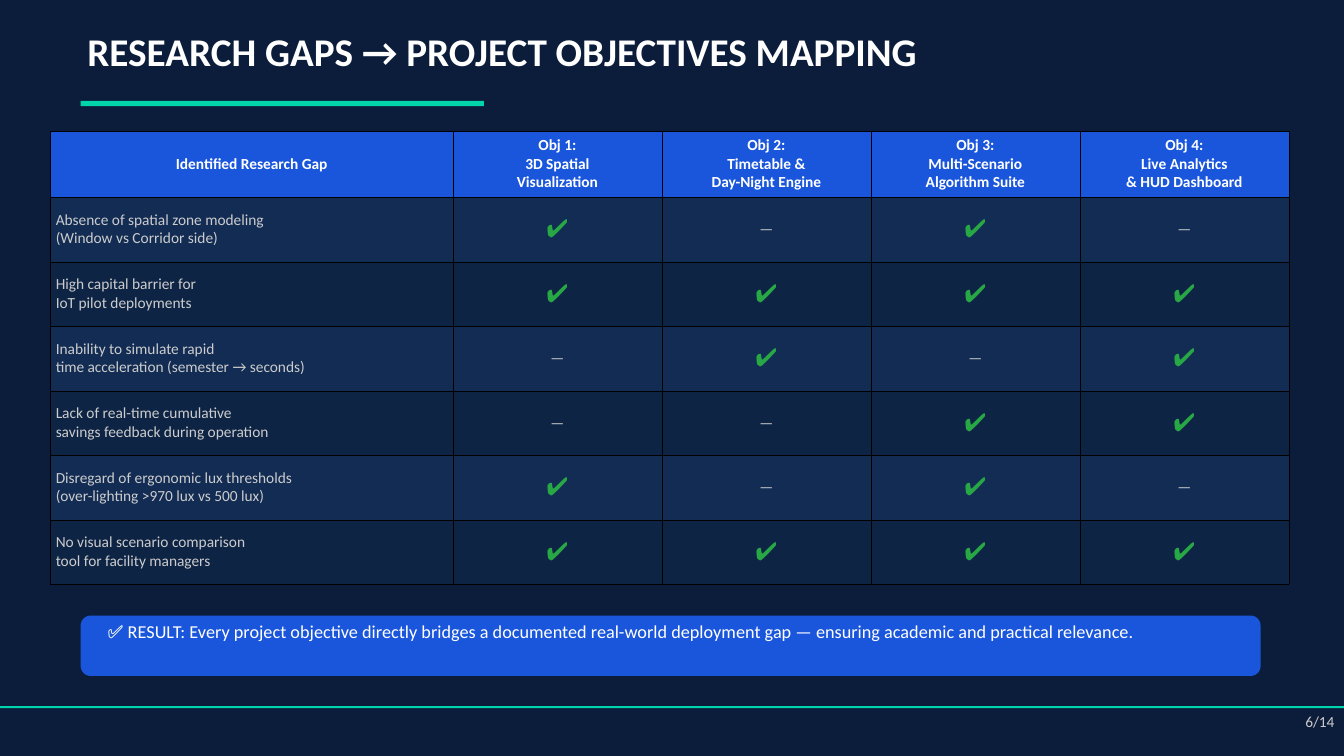
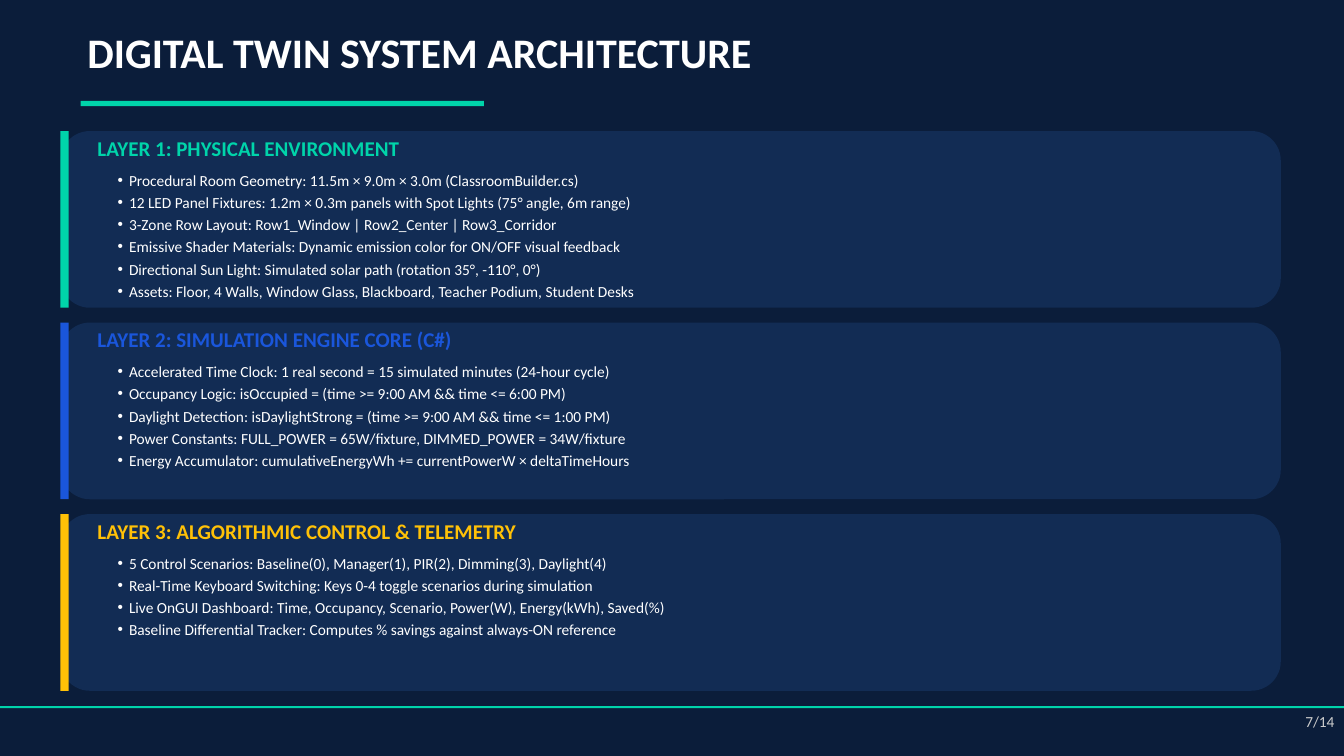
from lxml.etree import SubElement
from pptx import Presentation
from pptx.dml.color import RGBColor
from pptx.enum.shapes import MSO_SHAPE
from pptx.enum.text import MSO_ANCHOR, MSO_AUTO_SIZE, PP_ALIGN
from pptx.oxml.ns import qn
from pptx.util import Inches, Pt

NAVY = RGBColor(0x0B, 0x1D, 0x3A)
CARD_NAVY = RGBColor(0x12, 0x2C, 0x54)
DEEP_NAVY = RGBColor(0x0E, 0x24, 0x45)
BLUE = RGBColor(0x1A, 0x56, 0xDB)
TEAL = RGBColor(0x00, 0xD4, 0xAA)
AMBER = RGBColor(0xFF, 0xC1, 0x07)
GREEN = RGBColor(0x28, 0xA7, 0x45)
GREY = RGBColor(0xCC, 0xCC, 0xCC)
WHITE = RGBColor(0xFF, 0xFF, 0xFF)
BLACK = RGBColor(0, 0, 0)

FONT = "Calibri"
TEXT_SIZE = 16.5
TITLE_ONLY, COMPARISON = 5, 4

MAPPING_TITLE = "RESEARCH GAPS → PROJECT OBJECTIVES MAPPING"
HEADERS = [
    "Identified Research Gap",
    "Obj 1:\n3D Spatial\nVisualization",
    "Obj 2:\nTimetable &\nDay-Night Engine",
    "Obj 3:\nMulti-Scenario\nAlgorithm Suite",
    "Obj 4:\nLive Analytics\n& HUD Dashboard",
]
GAPS = [
    ("Absence of spatial zone modeling\n(Window vs Corridor side)", "✔—✔—"),
    ("High capital barrier for\nIoT pilot deployments", "✔✔✔✔"),
    ("Inability to simulate rapid\ntime acceleration (semester → seconds)", "—✔—✔"),
    ("Lack of real-time cumulative\nsavings feedback during operation", "——✔✔"),
    ("Disregard of ergonomic lux thresholds\n(over-lighting >970 lux vs 500 lux)", "✔—✔—"),
    ("No visual scenario comparison\ntool for facility managers", "✔✔✔✔"),
]
RESULT = ("✅ RESULT: Every project objective directly bridges a documented real-world "
          "deployment gap — ensuring academic and practical relevance.")

ARCHITECTURE_TITLE = "DIGITAL TWIN SYSTEM ARCHITECTURE"
LAYERS = [
    ("LAYER 1: PHYSICAL ENVIRONMENT", TEAL, [
        "Procedural Room Geometry: 11.5m × 9.0m × 3.0m (ClassroomBuilder.cs)",
        "12 LED Panel Fixtures: 1.2m × 0.3m panels with Spot Lights (75° angle, 6m range)",
        "3-Zone Row Layout: Row1_Window | Row2_Center | Row3_Corridor",
        "Emissive Shader Materials: Dynamic emission color for ON/OFF visual feedback",
        "Directional Sun Light: Simulated solar path (rotation 35°, -110°, 0°)",
        "Assets: Floor, 4 Walls, Window Glass, Blackboard, Teacher Podium, Student Desks",
    ]),
    ("LAYER 2: SIMULATION ENGINE CORE (C#)", BLUE, [
        "Accelerated Time Clock: 1 real second = 15 simulated minutes (24-hour cycle)",
        "Occupancy Logic: isOccupied = (time >= 9:00 AM && time <= 6:00 PM)",
        "Daylight Detection: isDaylightStrong = (time >= 9:00 AM && time <= 1:00 PM)",
        "Power Constants: FULL_POWER = 65W/fixture, DIMMED_POWER = 34W/fixture",
        "Energy Accumulator: cumulativeEnergyWh += currentPowerW × deltaTimeHours",
    ]),
    ("LAYER 3: ALGORITHMIC CONTROL & TELEMETRY", AMBER, [
        "5 Control Scenarios: Baseline(0), Manager(1), PIR(2), Dimming(3), Daylight(4)",
        "Real-Time Keyboard Switching: Keys 0-4 toggle scenarios during simulation",
        "Live OnGUI Dashboard: Time, Occupancy, Scenario, Power(W), Energy(kWh), Saved(%)",
        "Baseline Differential Tracker: Computes % savings against always-ON reference",
    ]),
]


def place(shape, left, top, width, height):
    shape.left, shape.top = Inches(left), Inches(top)
    shape.width, shape.height = Inches(width), Inches(height)


def format_text(frame, size, color, bold=False, align=PP_ALIGN.LEFT, gap=0):
    for index, paragraph in enumerate(frame.paragraphs):
        paragraph.alignment = align
        paragraph.line_spacing = Pt(round(size * 1.2, 1))
        paragraph.space_before = Pt(gap if index else 0)
        paragraph.space_after = Pt(0)
        for run in paragraph.runs:
            run.font.name = FONT
            run.font.size = Pt(size)
            run.font.bold = bold
            run.font.color.rgb = color


def set_frame(frame, left=0, top=0):
    frame.word_wrap = True
    frame.auto_size = MSO_AUTO_SIZE.NONE
    frame.vertical_anchor = MSO_ANCHOR.TOP
    frame.margin_left, frame.margin_top = Inches(left), Inches(top)
    frame.margin_right = frame.margin_bottom = 0


def add_block(slide, box, color, kind=MSO_SHAPE.RECTANGLE):
    shape = slide.shapes.add_shape(kind, *map(Inches, box))
    shape.shadow.inherit = False
    shape.fill.solid()
    shape.fill.fore_color.rgb = color
    shape.line.fill.background()
    return shape


def add_text(slide, box, text, size, color, **style):
    frame = slide.shapes.add_textbox(*map(Inches, box)).text_frame
    set_frame(frame)
    frame.text = text
    format_text(frame, size, color, **style)


def add_base_slide(presentation, layout, title, title_size, page):
    slide = presentation.slides.add_slide(presentation.slide_layouts[layout])
    place(slide.shapes.title, 1.3, 0.4, 14.81, 1.05)
    frame = slide.shapes.title.text_frame
    set_frame(frame)
    frame.text = title
    format_text(frame, title_size, WHITE, bold=True)
    add_block(slide, (1.2, 1.5, 6, 0.08), TEAL)
    add_block(slide, (0, 10.51, 20, 0.03), TEAL)
    add_text(slide, (18.56, 10.6, 1.3, 0.53), page, TEXT_SIZE, GREY, align=PP_ALIGN.RIGHT)
    return slide


def add_borders(cell):
    properties = cell._tc.get_or_add_tcPr()
    for side in ("a:lnL", "a:lnR", "a:lnT", "a:lnB"):
        line = SubElement(properties, qn(side), w=str(Pt(0.37)))
        fill = SubElement(line, qn("a:solidFill"))
        SubElement(fill, qn("a:srgbClr"), val=str(BLACK))


def fill_cell(cell, text, fill, size, color, **style):
    cell.text_frame.text = text
    format_text(cell.text_frame, size, color, **style)
    cell.vertical_anchor = MSO_ANCHOR.MIDDLE
    cell.margin_left = cell.margin_right = Inches(0.08)
    cell.margin_top = cell.margin_bottom = Inches(0.08)
    add_borders(cell)
    cell.fill.solid()
    cell.fill.fore_color.rgb = fill


def add_mapping_table(slide):
    box = map(Inches, (0.75, 1.95, 18.43, 6.72))
    table = slide.shapes.add_table(len(GAPS) + 1, len(HEADERS), *box).table
    table.first_row = table.horz_banding = False
    for index, column in enumerate(table.columns):
        column.width = Inches(3.11 if index else 5.99)
    for row in table.rows:
        row.height = Inches(0.96)
    for index, header in enumerate(HEADERS):
        fill_cell(table.cell(0, index), header, BLUE, TEXT_SIZE, WHITE,
                  bold=True, align=PP_ALIGN.CENTER)
    for row, (gap, marks) in enumerate(GAPS, 1):
        fill = CARD_NAVY if row % 2 else DEEP_NAVY
        fill_cell(table.cell(row, 0), gap, fill, TEXT_SIZE, GREY)
        for column, mark in enumerate(marks, 1):
            met = mark == "✔"
            fill_cell(table.cell(row, column), mark, fill, 27 if met else TEXT_SIZE,
                      GREEN if met else GREY, bold=met, align=PP_ALIGN.CENTER)


def build_mapping(presentation):
    slide = add_base_slide(presentation, TITLE_ONLY, MAPPING_TITLE, 42, "6/14")
    add_mapping_table(slide)
    banner = add_block(slide, (1.2, 9.16, 17.56, 0.9), BLUE, MSO_SHAPE.ROUNDED_RECTANGLE)
    set_frame(banner.text_frame, left=0.36, top=0.03)
    banner.text_frame.text = RESULT
    format_text(banner.text_frame, 19.5, WHITE)


def fill_list(body, items):
    frame = body.text_frame
    set_frame(frame)
    frame.text = "\n".join(items)
    for paragraph in frame.paragraphs:
        properties = paragraph._p.get_or_add_pPr()
        properties.set("marL", str(Inches(0.17)))
        properties.set("indent", str(-Inches(0.17)))
        SubElement(properties, qn("a:buChar"), char="•")
    format_text(frame, TEXT_SIZE, WHITE, gap=4)


def build_architecture(presentation):
    slide = add_base_slide(presentation, COMPARISON, ARCHITECTURE_TITLE, 45, "7/14")
    bodies = [shape for shape in slide.placeholders if shape.placeholder_format.idx]
    height, gap = 2.63, 0.22
    for index, (heading, color, items) in enumerate(LAYERS):
        top = 1.95 + index * (height + gap)
        add_block(slide, (0.9, top, 18.16, height), CARD_NAVY, MSO_SHAPE.ROUNDED_RECTANGLE)
        add_block(slide, (0.9, top, 0.12, height), color)
        add_text(slide, (1.45, top + 0.06, 16.31, 0.49), heading, 22.5, color, bold=True)
        body = bodies[index]
        place(body, 1.75, top + 0.59, 16.31, 0.33 * len(items))
        fill_list(body, items)
        slide.shapes._spTree.append(body._element)
    for body in bodies[len(LAYERS):]:
        slide.shapes._spTree.remove(body._element)


def main():
    presentation = Presentation()
    presentation.slide_width, presentation.slide_height = Inches(20), Inches(11.25)
    background = presentation.slide_master.background.fill
    background.solid()
    background.fore_color.rgb = NAVY
    build_mapping(presentation)
    build_architecture(presentation)
    presentation.save("out.pptx")


if __name__ == "__main__":
    main()
